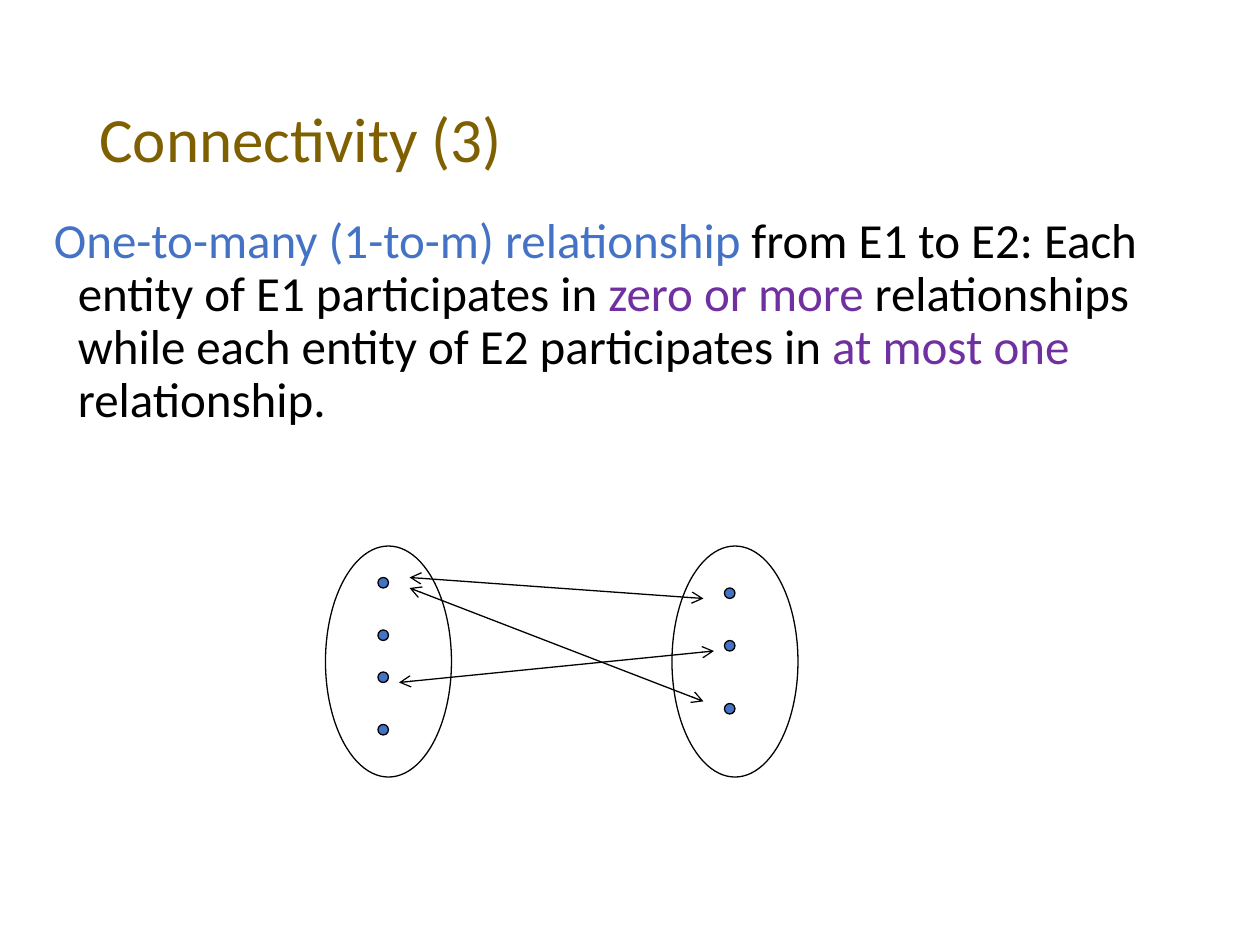
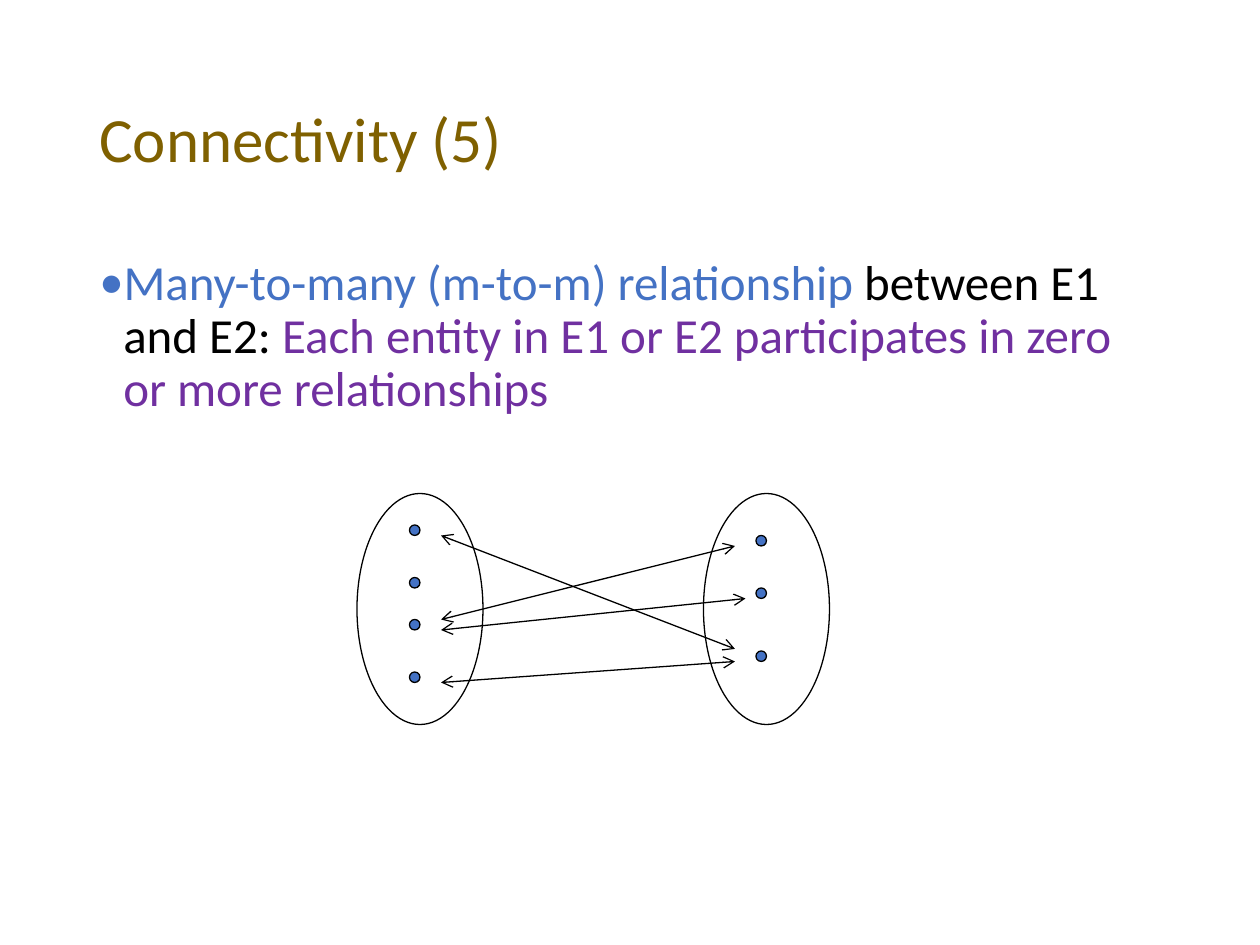
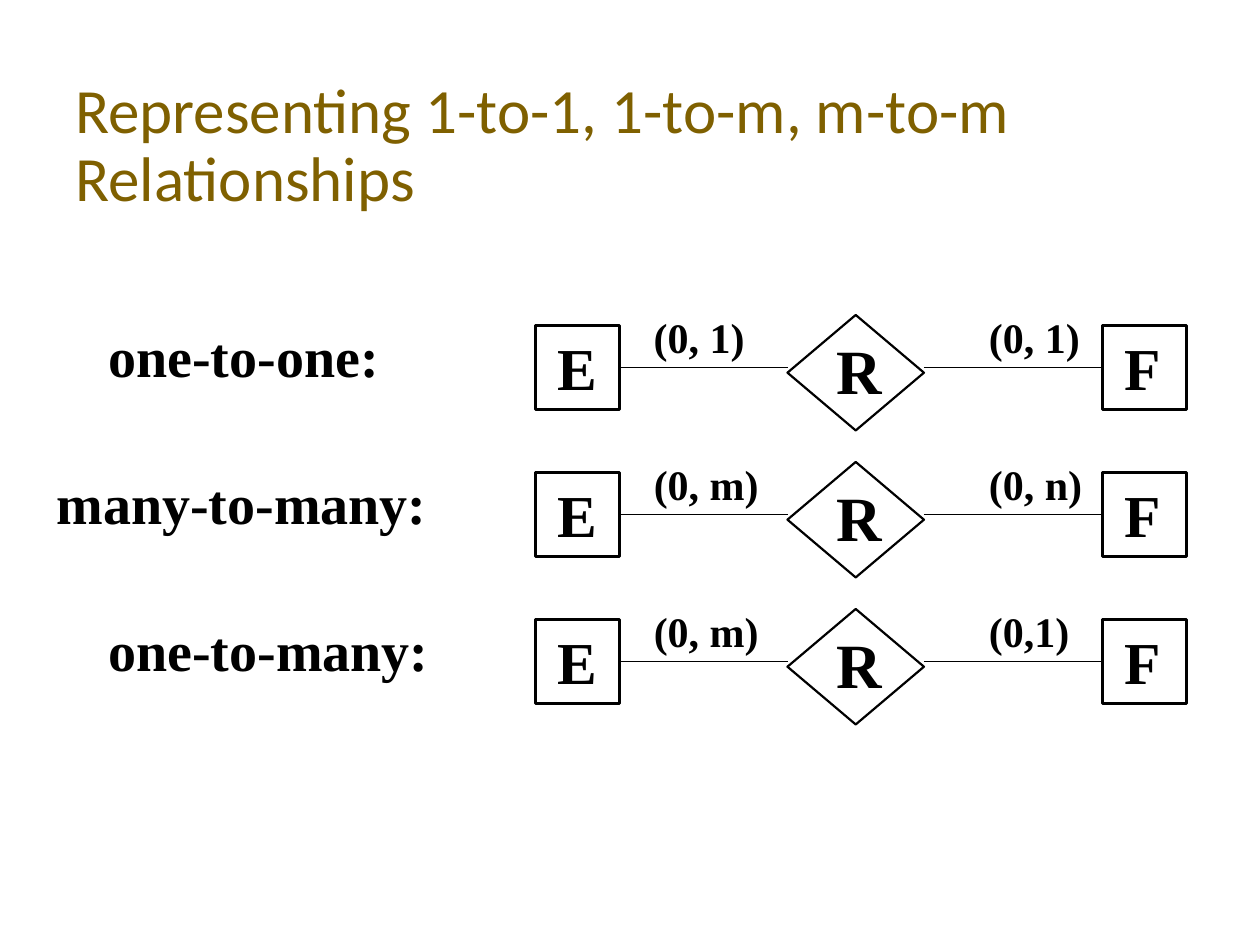
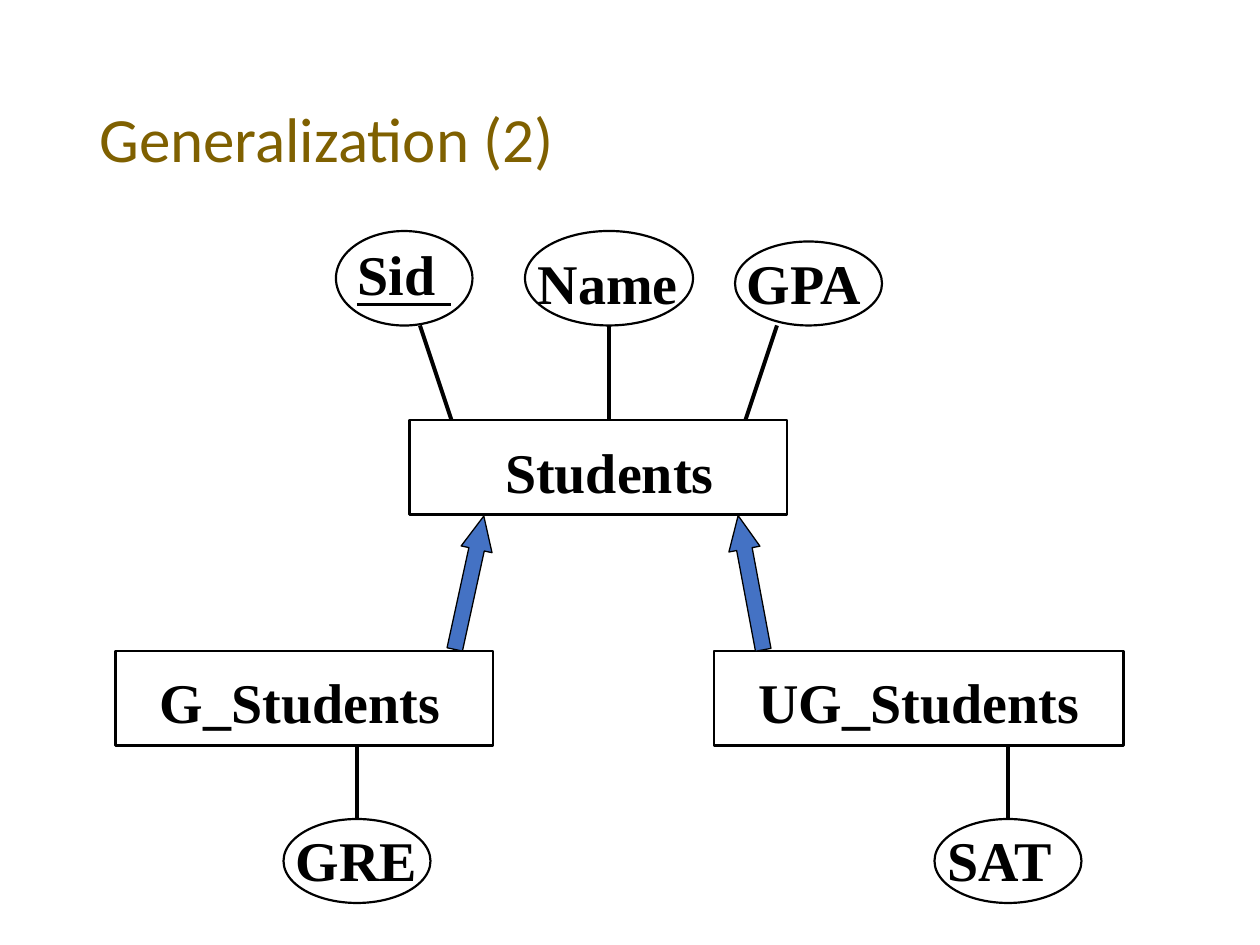
"""Build four slides on relationship connectivity and generalization."""
from dataclasses import dataclass
from typing import NamedTuple

from lxml import etree
from pptx import Presentation
from pptx import util as u
from pptx.dml.color import RGBColor
from pptx.enum import shapes, text
from pptx.oxml.ns import qn

BLACK = RGBColor(0x00, 0x00, 0x00)
BLUE = RGBColor(0x44, 0x72, 0xC4)
PURPLE = RGBColor(0x70, 0x30, 0xA0)
GOLD = RGBColor(0x7F, 0x60, 0x00)
HEADING_FONT = "Calibri"
LABEL_FONT = "Times New Roman"

OVAL = shapes.MSO_SHAPE.OVAL
RECTANGLE = shapes.MSO_SHAPE.RECTANGLE
DIAMOND = shapes.MSO_SHAPE.DIAMOND
RIGHT_ARROW = shapes.MSO_SHAPE.RIGHT_ARROW

GRID_STEPS = 60
LABEL_SLACK = 0.02


class Box(NamedTuple):
    """Left, top, width and height in inches."""

    left: float
    top: float
    width: float
    height: float


class Line(NamedTuple):
    """Start and end of a line in inches."""

    x1: float
    y1: float
    x2: float
    y2: float


class Span(NamedTuple):
    """A stretch of text in one colour."""

    words: str
    color: RGBColor


class Label(NamedTuple):
    """A bold label, its box and its size in points."""

    words: str
    box: Box
    size: float = 32


class Node(NamedTuple):
    """An outlined entity or attribute of a diagram with its label."""

    kind: shapes.MSO_SHAPE
    box: Box
    label: Label


class Relationship(NamedTuple):
    """One row of the relationship notation."""

    name: Label
    left_range: str
    left_width: float
    right_range: str
    right_width: float


@dataclass
class Mapping:
    """A slide that maps two entity sets onto each other."""

    title: str
    body: Box
    bulleted: bool
    spans: list[Span]
    left: float
    top: float
    links: list[Line]


TITLE_BOX = Box(0.69, 0.4, 8.63, 1.45)
WIDE_TITLE_BOX = Box(0.5, 0.42, 9, 1.5)

SET_GAP = 2.75
DOT_SIZE = 0.08
LEFT_DOTS = (0.42, [0.25, 0.67, 1, 1.42])
RIGHT_DOTS = (3.17, [0.33, 0.75, 1.25])

MAPPINGS = [
    Mapping(
        "Connectivity (3)", Box(0.33, 1.67, 9.33, 5.5), False,
        [
            Span("One-to-many (1-to-m) relationship", BLUE),
            Span(" from E1 to E2: Each entity of E1 participates in ", BLACK),
            Span("zero or more", PURPLE),
            Span(" relationships while each entity of E2 participates in ", BLACK),
            Span("at most one ", PURPLE),
            Span("relationship.", BLACK),
        ],
        2.58, 4.33,
        [
            Line(0.67, 0.33, 3, 1.23),
            Line(0.58, 1.08, 3.08, 0.83),
            Line(0.67, 0.25, 3, 0.42),
        ],
    ),
    Mapping(
        "Connectivity (5)", Box(0.69, 2, 8.63, 4.76), True,
        [
            Span("Many-to-many (m-to-m) relationship", BLUE),
            Span(" between E1 and E2: ", BLACK),
            Span("Each entity in E1 or E2 participates in zero or more relationships", PURPLE),
        ],
        2.83, 3.92,
        [
            Line(0.67, 0.33, 3, 1.23),
            Line(0.67, 1.08, 3.08, 0.83),
            Line(0.67, 1.5, 3, 1.33),
            Line(0.67, 1, 3, 0.42),
        ],
    ),
]

FIRST_ROW = 2.5
ROW_PITCH = 3.5 / 3
RELATIONSHIPS = [
    Relationship(Label("one-to-one:", Box(0.76, 0, 2.35, 0.64)), "(0, 1)", 0.92, "(0, 1)", 0.92),
    Relationship(Label("many-to-many:", Box(0.35, 0, 3.14, 0.64)), "(0, m)", 1.03, "(0, n)", 0.94),
    Relationship(Label("one-to-many:", Box(0.76, 0, 2.74, 0.64)), "(0, m)", 1.03, "(0,1)", 0.84),
]

NODES = [
    Node(RECTANGLE, Box(0.92, 5.17, 3, 0.75), Label("G_Students", Box(1.17, 5.25, 2.42, 0.64))),
    Node(OVAL, Box(2.25, 6.5, 1.17, 0.67), Label("GRE", Box(2.25, 6.5, 1.16, 0.64))),
    Node(RECTANGLE, Box(5.67, 5.17, 3.25, 0.75), Label("UG_Students", Box(5.92, 5.25, 2.74, 0.64))),
    Node(OVAL, Box(7.42, 6.5, 1.17, 0.67), Label("SAT", Box(7.42, 6.5, 1.06, 0.64))),
    Node(RECTANGLE, Box(3.25, 3.33, 3, 0.75), Label("Students", Box(3.91, 3.42, 1.86, 0.64))),
    Node(OVAL, Box(2.67, 1.83, 1.08, 0.75), Label("Sid", Box(2.74, 1.85, 0.82, 0.64))),
    Node(OVAL, Box(4.17, 1.83, 1.33, 0.75), Label("Name", Box(4.17, 1.92, 1.31, 0.64))),
    Node(OVAL, Box(5.83, 1.92, 1.17, 0.67), Label("GPA", Box(5.83, 1.92, 1.14, 0.64))),
]
KEY_UNDERLINE = Line(2.83, 2.42, 3.58, 2.42)
NODE_LINKS = [
    Line(2.83, 5.92, 2.83, 6.5),
    Line(8, 5.92, 8, 6.5),
    Line(3.58, 3.33, 3.33, 2.58),
    Line(4.83, 3.33, 4.83, 2.58),
    Line(6.17, 2.58, 5.92, 3.33),
]
SUBTYPE_ARROWS = [(3.18, 282.3), (5.42, 259.4)]


def inches(values: tuple) -> list:
    """Convert a tuple of numbers to lengths."""
    return [u.Inches(value) for value in values]


def on_grid(values: tuple) -> list:
    """Convert a tuple of numbers to lengths on the drawing grid."""
    return [u.Inches(round(value * GRID_STEPS) / GRID_STEPS) for value in values]


def style_font(font, name: str, size: float, color: RGBColor, bold: bool = False) -> None:
    """Set the face, size, colour and weight of a font."""
    font.name = name
    font.size = u.Pt(size)
    font.color.rgb = color
    font.bold = bold


def add_title(slide, words: str, box: Box = TITLE_BOX) -> None:
    """Draw the slide title."""
    frame = slide.shapes.add_textbox(*inches(box)).text_frame
    frame.word_wrap = True
    frame.vertical_anchor = text.MSO_ANCHOR.MIDDLE
    frame.text = words
    paragraph = frame.paragraphs[0]
    paragraph.line_spacing = 0.9
    for run in paragraph.runs:
        style_font(run.font, HEADING_FONT, 36, GOLD)


def add_body(slide, box: Box, spans: list[Span], bulleted: bool) -> None:
    """Draw a hanging paragraph of coloured spans."""
    frame = slide.shapes.add_textbox(*inches(box)).text_frame
    frame.word_wrap = True
    paragraph = frame.paragraphs[0]
    properties = paragraph._p.get_or_add_pPr()
    properties.set("marL", str(u.Inches(0.19)))
    properties.set("indent", str(-u.Inches(0.19)))
    if bulleted:
        bullet_color = etree.SubElement(properties, qn("a:buClr"))
        etree.SubElement(bullet_color, qn("a:srgbClr"), val=str(BLUE))
        etree.SubElement(properties, qn("a:buFont"), typeface=HEADING_FONT)
        etree.SubElement(properties, qn("a:buChar"), char="•")
    paragraph.line_spacing = 0.9
    for span in spans:
        run = paragraph.add_run()
        run.text = span.words
        style_font(run.font, HEADING_FONT, 28, span.color)


def add_label(slide, label: Label) -> None:
    """Draw a bold label that does not wrap."""
    box = label.box._replace(width=label.box.width + LABEL_SLACK)
    frame = slide.shapes.add_textbox(*inches(box)).text_frame
    frame.word_wrap = False
    frame.auto_size = text.MSO_AUTO_SIZE.SHAPE_TO_FIT_TEXT
    frame.text = label.words
    style_font(frame.paragraphs[0].runs[0].font, LABEL_FONT, label.size, BLACK, True)


def add_outline(slide, kind: shapes.MSO_SHAPE, box: Box, weight: float, fill: RGBColor | None = None):
    """Draw a black-edged shape, hollow unless a fill is given."""
    shape = slide.shapes.add_shape(kind, *on_grid(box))
    shape.shadow.inherit = False
    shape.line.color.rgb = BLACK
    shape.line.width = u.Pt(weight)
    if fill is None:
        shape.fill.background()
    else:
        shape.fill.solid()
        shape.fill.fore_color.rgb = fill
    return shape


def add_line(slide, line: Line, weight: float, arrows: bool = False) -> None:
    """Draw a straight black line, with arrowheads at both ends if asked."""
    connector = slide.shapes.add_connector(shapes.MSO_CONNECTOR.STRAIGHT, *on_grid(line))
    connector.line.color.rgb = BLACK
    connector.line.width = u.Pt(weight)
    properties = connector._element.spPr
    if arrows:
        for end in ("a:headEnd", "a:tailEnd"):
            etree.SubElement(properties.find(qn("a:ln")), qn(end), type="arrow")
    etree.SubElement(properties, qn("a:effectLst"))


def build_mapping(slide, mapping: Mapping) -> None:
    """Draw two entity sets and the links between their members."""
    left, top = mapping.left, mapping.top
    add_title(slide, mapping.title)
    add_body(slide, mapping.body, mapping.spans, mapping.bulleted)
    for offset in (0, SET_GAP):
        add_outline(slide, OVAL, Box(left + offset, top, 1, 1.83), 0.75)
    for dot_left, dot_tops in (LEFT_DOTS, RIGHT_DOTS):
        for dot_top in dot_tops:
            dot = Box(left + dot_left, top + dot_top, DOT_SIZE, DOT_SIZE)
            add_outline(slide, OVAL, dot, 0.75, BLUE)
    for link in mapping.links:
        moved = Line(left + link.x1, top + link.y1, left + link.x2, top + link.y2)
        add_line(slide, moved, 0.75, arrows=True)


def add_relationship(slide, row: Relationship, top: float) -> None:
    """Draw one row: name, entity E, relationship R and entity F."""
    add_label(slide, row.name._replace(box=row.name.box._replace(top=top)))
    box_top = top + 0.08
    add_label(slide, Label("R", Box(6.54, box_top, 0.56, 0.7), 36))
    add_outline(slide, DIAMOND, Box(6.25, top, 1.08, 0.92), 1.25)
    for letter, left, width in (("E", 4.25, 0.51), ("F", 8.75, 0.49)):
        add_label(slide, Label(letter, Box(left + 0.08, box_top, width, 0.67), 34))
        add_outline(slide, RECTANGLE, Box(left, box_top, 0.67, 0.67), 1.25)
    ranges = ((row.left_range, 5.09, row.left_width), (row.right_range, 7.75, row.right_width))
    for words, left, width in ranges:
        add_label(slide, Label(words, Box(left, top - 0.08, width, 0.5), 24))
    for start, end in ((4.92, 6.25), (7.33, 8.75)):
        add_line(slide, Line(start, top + 0.42, end, top + 0.42), 0.75)


def build_notation(slide) -> None:
    """Draw the notation of the three kinds of relationship."""
    add_title(slide, "Representing 1-to-1, 1-to-m, m-to-m\vRelationships", WIDE_TITLE_BOX)
    for index, row in enumerate(RELATIONSHIPS):
        add_relationship(slide, row, FIRST_ROW + index * ROW_PITCH)


def build_generalization(slide) -> None:
    """Draw the student entity with its two subtypes."""
    add_title(slide, "Generalization (2)")
    for node in NODES:
        add_label(slide, node.label)
        add_outline(slide, node.kind, node.box, 1.25)
    for line in [KEY_UNDERLINE, *NODE_LINKS]:
        add_line(slide, line, 2.25)
    for left, angle in SUBTYPE_ARROWS:
        arrow = add_outline(slide, RIGHT_ARROW, Box(left, 4.5, 1.08, 0.25), 0.75, BLUE)
        arrow.adjustments[0] = 0.5
        arrow.adjustments[1] = 1.08
        arrow.rotation = angle


def main() -> None:
    """Build and save the presentation."""
    presentation = Presentation()
    presentation.slide_width = u.Inches(10)
    presentation.slide_height = u.Inches(7.5)
    blank = presentation.slide_layouts[6]
    for mapping in MAPPINGS:
        build_mapping(presentation.slides.add_slide(blank), mapping)
    build_notation(presentation.slides.add_slide(blank))
    build_generalization(presentation.slides.add_slide(blank))
    presentation.save("out.pptx")


if __name__ == "__main__":
    main()
